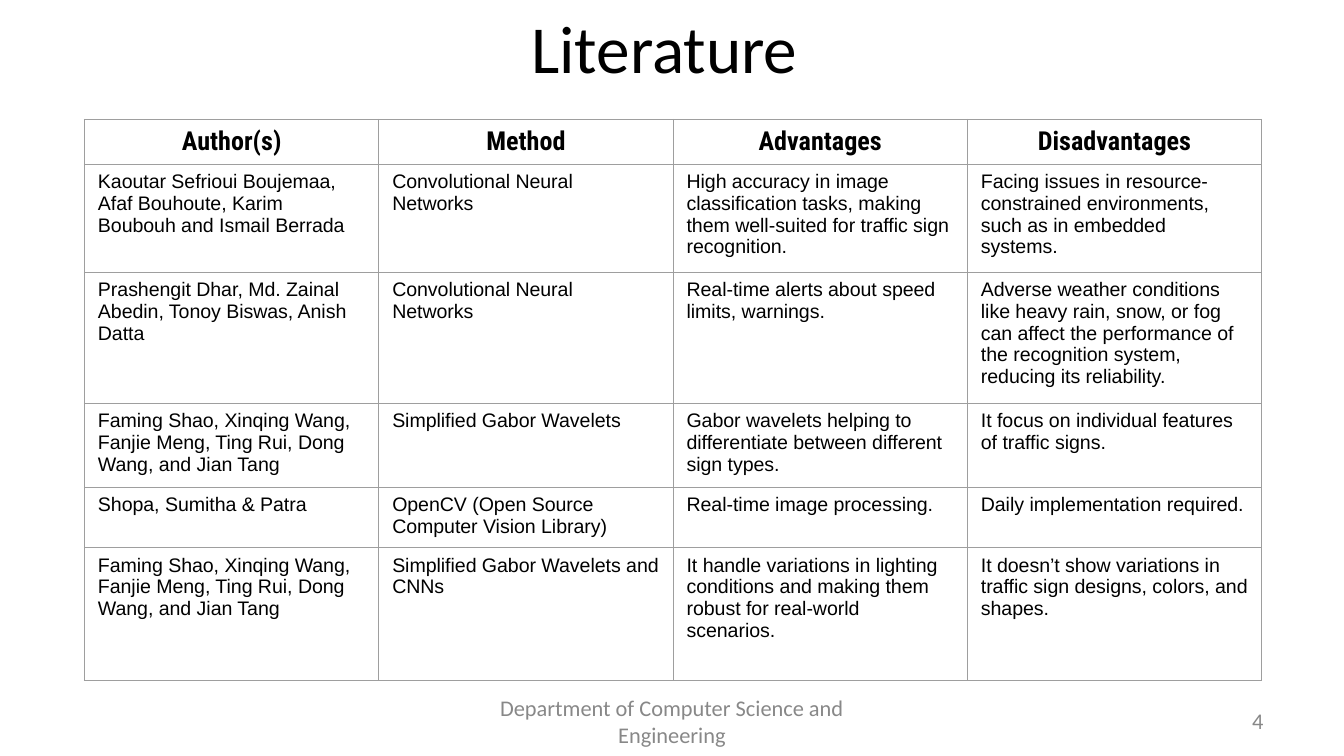
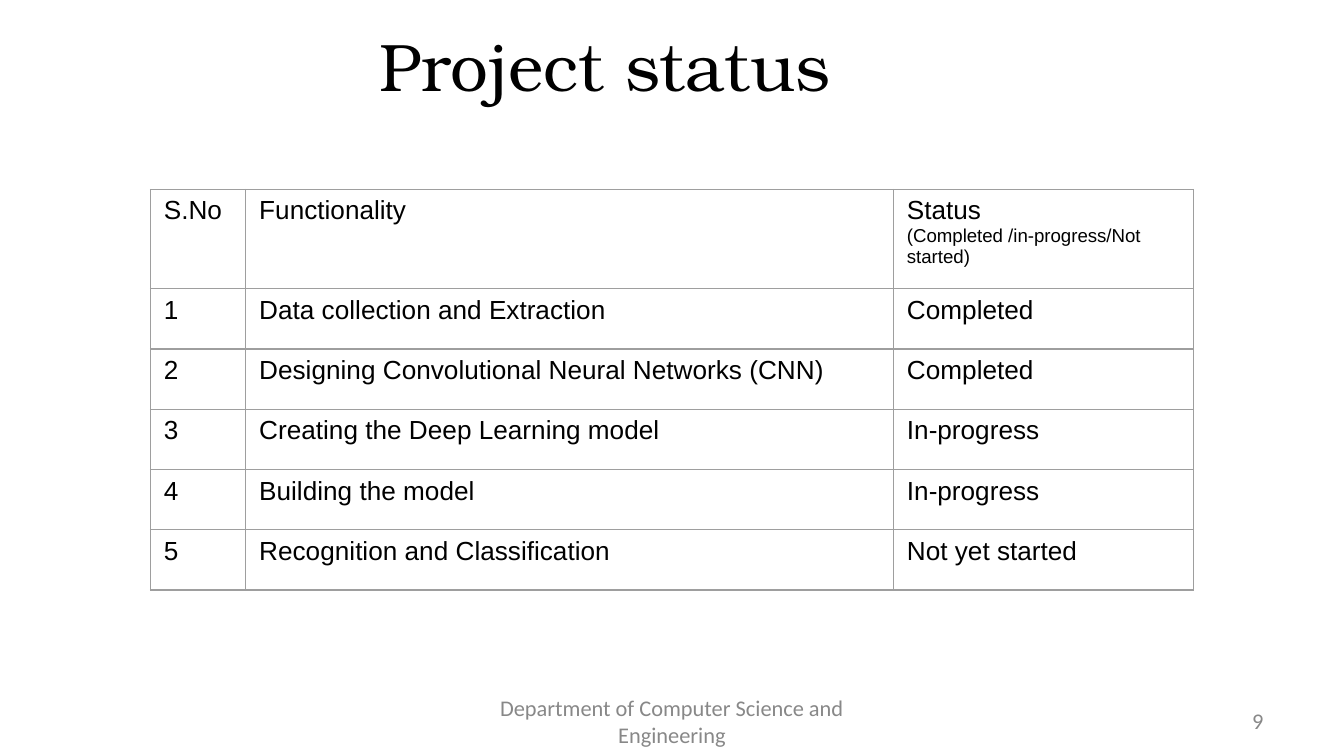
from collections import namedtuple
from dataclasses import dataclass

from lxml.etree import SubElement
from pptx import Presentation
from pptx.dml.color import RGBColor
from pptx.enum.text import MSO_ANCHOR, PP_ALIGN
from pptx.oxml.ns import qn
from pptx.util import Pt

Box = namedtuple("Box", "left top width height")


@dataclass(frozen=True)
class Theme:
    ink: str = "000000"
    muted: str = "888888"
    rule: str = "9E9E9E"
    paper: str = "FFFFFF"
    sans: str = "Calibri"
    serif: str = "TeX Gyre Bonum"
    body: str = "Arial"
    heading: str = "Roboto Condensed"
    title_size: float = 36
    heading_size: float = 14
    body_size: float = 10.5
    note_size: float = 10
    footer_size: float = 12
    rule_width: float = 0.75


THEME = Theme()
DEPARTMENT = "Department of Computer Science and Engineering"
FOOTER_BOX = Box(246, 375.3, 228, 21.6)
NUMBER_BOX = Box(516, 375.3, 168, 21.6)
FRAME = {
    "margin_left": Pt(7.2), "margin_right": Pt(7.2),
    "margin_top": Pt(3.6), "margin_bottom": Pt(3.6),
    "word_wrap": True, "vertical_anchor": MSO_ANCHOR.MIDDLE,
}


def text_style(name, size, color=THEME.ink, bold=False, align=PP_ALIGN.LEFT):
    return {"font": {"name": name, "size": Pt(size), "bold": bold},
            "color": color, "align": align}


TITLE_SANS = text_style(THEME.sans, THEME.title_size, align=PP_ALIGN.CENTER)
TITLE_SERIF = text_style(THEME.serif, THEME.title_size, align=PP_ALIGN.CENTER)
FOOTER = text_style(THEME.sans, THEME.footer_size, THEME.muted, align=PP_ALIGN.CENTER)
NUMBER = text_style(THEME.sans, THEME.footer_size, THEME.muted, align=PP_ALIGN.RIGHT)
HEADING = text_style(THEME.heading, THEME.heading_size, bold=True, align=PP_ALIGN.CENTER)
BODY = text_style(THEME.body, THEME.body_size)
STATUS = text_style(THEME.body, THEME.heading_size)
NOTE = text_style(THEME.body, THEME.note_size)

LITERATURE = [
    ("Author(s)", "Method", "Advantages", "Disadvantages"),
    ("Kaoutar Sefrioui Boujemaa, Afaf Bouhoute, Karim Boubouh and Ismail Berrada",
     "Convolutional Neural Networks",
     "High accuracy in image classification tasks, making them well-suited for "
     "traffic sign recognition.",
     "Facing issues in resource-constrained environments, such as in embedded systems."),
    ("Prashengit Dhar, Md. Zainal Abedin, Tonoy Biswas, Anish Datta",
     "Convolutional Neural Networks",
     "Real-time alerts about speed limits, warnings.",
     "Adverse weather conditions like heavy rain, snow, or fog can affect the "
     "performance of the recognition system, reducing its reliability."),
    ("Faming Shao, Xinqing Wang, Fanjie Meng, Ting Rui, Dong Wang, and Jian Tang",
     "Simplified Gabor Wavelets",
     "Gabor wavelets helping to differentiate between different sign types.",
     "It focus on individual features of traffic signs."),
    ("Shopa, Sumitha & Patra",
     "OpenCV (Open Source Computer Vision Library)",
     "Real-time image processing.",
     "Daily implementation required."),
    ("Faming Shao, Xinqing Wang, Fanjie Meng, Ting Rui, Dong Wang, and Jian Tang",
     "Simplified Gabor Wavelets and CNNs",
     "It handle variations in lighting conditions and making them robust for "
     "real-world scenarios.",
     "It doesn’t show variations in traffic sign designs, colors, and shapes."),
]

PROJECT_STATUS = [
    ("S.No", "Functionality", "Status\n(Completed /in-progress/Not started)"),
    ("1", "Data collection and Extraction", "Completed"),
    ("2", "Designing Convolutional Neural Networks (CNN)", "Completed"),
    ("3", "Creating the Deep Learning model", "In-progress"),
    ("4", "Building the model", "In-progress"),
    ("5", "Recognition and Classification", "Not yet started"),
]


def apply_format(target, values):
    for key, value in values.items():
        setattr(target, key, value)


def write_line(paragraph, text, style):
    paragraph.alignment = style["align"]
    run = paragraph.add_run()
    run.text = text
    apply_format(run.font, style["font"])
    run.font.color.rgb = RGBColor.from_string(style["color"])


def place_title(slide, box, text, style):
    title = slide.shapes.title
    apply_format(title, {side: Pt(v) for side, v in box._asdict().items()})
    apply_format(title.text_frame, FRAME)
    write_line(title.text_frame.paragraphs[0], text, style)


def place_label(slide, box, text, style):
    frame = slide.shapes.add_textbox(*map(Pt, box)).text_frame
    apply_format(frame, FRAME)
    write_line(frame.paragraphs[0], text, style)


def rule_cell(cell):
    properties = cell._tc.get_or_add_tcPr()
    for side in ("a:lnL", "a:lnR", "a:lnT", "a:lnB"):
        line = SubElement(properties, qn(side), w=str(Pt(THEME.rule_width)))
        fill = SubElement(line, qn("a:solidFill"))
        SubElement(fill, qn("a:srgbClr"), val=THEME.rule)


def fill_cell(cell, text, style):
    rule_cell(cell)
    cell.fill.background()
    first, *notes = text.split("\n")
    write_line(cell.text_frame.paragraphs[0], first, style)
    for note in notes:
        write_line(cell.text_frame.add_paragraph(), note, NOTE)


def place_table(slide, box, rows, shares, heights, head_style, row_style):
    table = slide.shapes.add_table(len(rows), len(shares), *map(Pt, box)).table
    apply_format(table, {"first_row": False, "horz_banding": False})
    for column, share in zip(table.columns, shares):
        column.width = Pt(round(box.width * share / sum(shares), 2))
    for row, height in zip(table.rows, heights):
        row.height = Pt(height)
    for r, texts in enumerate(rows):
        for c, text in enumerate(texts):
            fill_cell(table.cell(r, c), text, row_style if r else head_style)


def start_slide(deck, number, title, title_box, title_style):
    slide = deck.slides.add_slide(deck.slide_layouts[5])
    slide.background.fill.solid()
    slide.background.fill.fore_color.rgb = RGBColor.from_string(THEME.paper)
    place_label(slide, NUMBER_BOX, number, NUMBER)
    place_title(slide, title_box, title, title_style)
    place_label(slide, FOOTER_BOX, DEPARTMENT, FOOTER)
    return slide


def literature_slide(deck):
    slide = start_slide(deck, "4", "Literature ", Box(204, 0, 312, 49.5), TITLE_SANS)
    place_table(slide, Box(45.3, 64, 630.7, 300), LITERATURE, [1] * 4,
                [23.8, 57.8, 70, 44.8, 32.4, 71.2], HEADING, BODY)


def status_slide(deck):
    slide = start_slide(deck, "9", "Project status", Box(83.5, 10, 481.7, 49.7), TITLE_SERIF)
    place_table(slide, Box(80.6, 101.5, 558.7, 214.7), PROJECT_STATUS, [51.1, 347, 160.6],
                [53.2] + [32.3] * 5, STATUS, STATUS)


def main():
    deck = Presentation()
    apply_format(deck, {"slide_width": Pt(720), "slide_height": Pt(405)})
    literature_slide(deck)
    status_slide(deck)
    deck.save("out.pptx")


if __name__ == "__main__":
    main()
